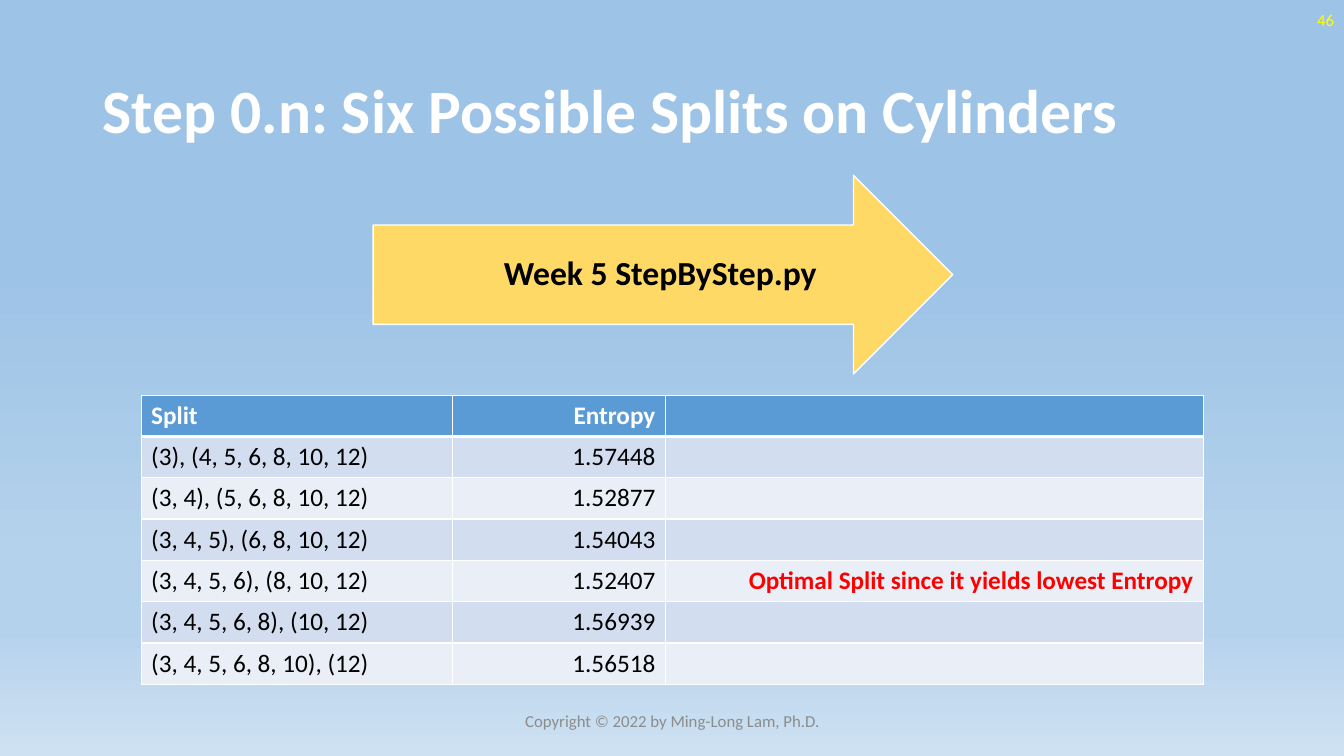
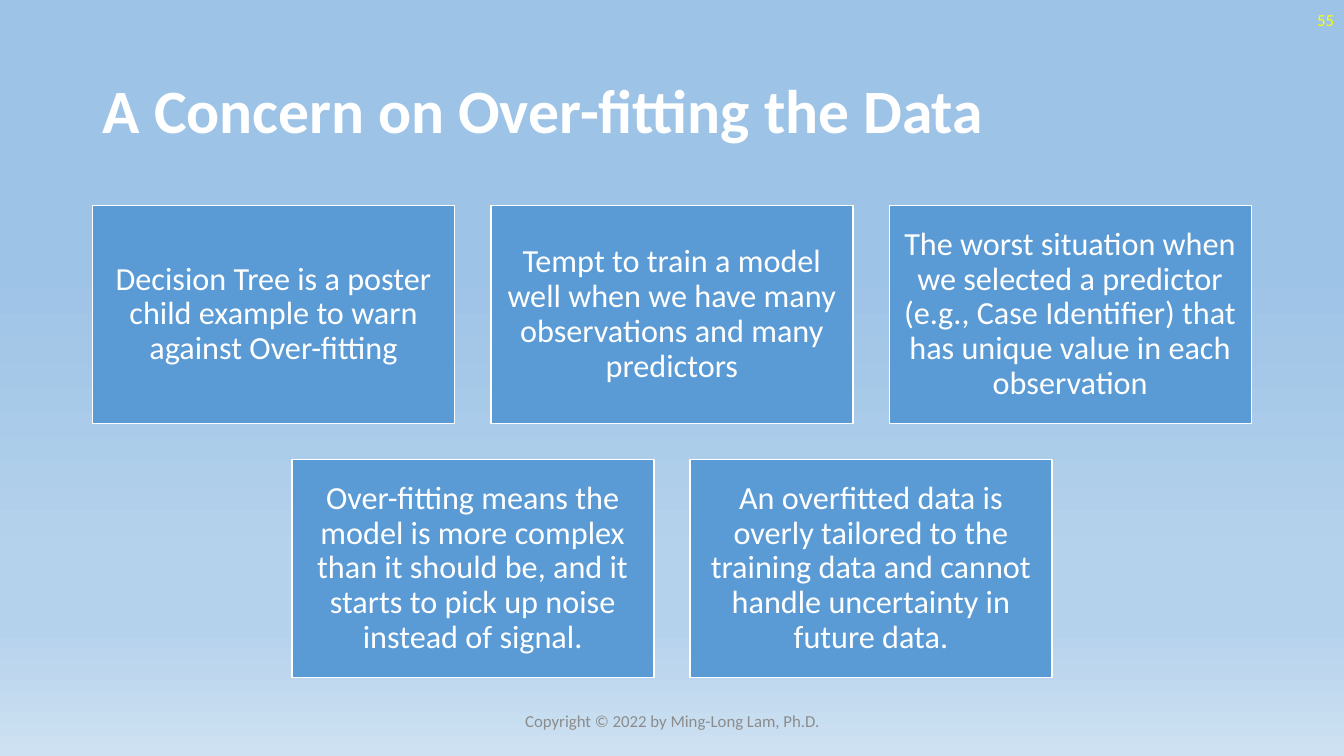
from dataclasses import dataclass

from lxml import etree
from pptx import Presentation
from pptx.dml.color import RGBColor
from pptx.enum.shapes import MSO_SHAPE as Shape
from pptx.enum.text import MSO_ANCHOR as Anchor, PP_ALIGN as Align
from pptx.oxml.ns import qn
from pptx.util import Inches, Pt


@dataclass(frozen=True)
class Theme:
    font: str = "Calibri"
    white: str = "FFFFFF"
    black: str = "000000"
    blue: str = "5B9BD5"
    bands: tuple = ("D2DEEF", "EAEFF7")
    gold: str = "FFD966"
    red: str = "FF0000"
    yellow: str = "FFFF00"
    grey: str = "8C8C8C"
    background: tuple = ((35, "9DC3E6"), (74, "B5D2EC"), (83, "B5D2EC"), (100, "CEE1F2"))
    title_size: int = 44
    arrow_size: int = 24
    card_size: int = 23
    table_size: int = 18
    small_size: int = 12


THEME = Theme()

# Content
COPYRIGHT = "Copyright © 2022 by Ming-Long Lam, Ph.D."
SPLITS_TITLE, SPLITS_NUMBER = "Step 0.n: Six Possible Splits on Cylinders", 46
ARROW_TEXT = "Week 5 StepByStep.py"
SPLITS = [
    ("Split", "Entropy", ""),
    ("(3), (4, 5, 6, 8, 10, 12)", "1.57448", ""),
    ("(3, 4), (5, 6, 8, 10, 12)", "1.52877", ""),
    ("(3, 4, 5), (6, 8, 10, 12)", "1.54043", ""),
    ("(3, 4, 5, 6), (8, 10, 12)", "1.52407", "Optimal Split since it yields lowest Entropy"),
    ("(3, 4, 5, 6, 8), (10, 12)", "1.56939", ""),
    ("(3, 4, 5, 6, 8, 10), (12)", "1.56518", ""),
]
CONCERN_TITLE, CONCERN_NUMBER = "A Concern on Over-fitting the Data", 55
CONCERN_ROWS = [
    [
        "Decision Tree is a poster child example to warn against Over-fitting",
        "Tempt to train a model well when we have many observations and many predictors",
        "The worst situation when we selected a predictor (e.g., Case Identifier) "
        "that has unique value in each observation",
    ],
    [
        "Over-fitting means the model is more complex than it should be, "
        "and it starts to pick up noise instead of signal.",
        "An overfitted data is overly tailored to the training data "
        "and cannot handle uncertainty in future data.",
    ],
]

# Layout, in inches
SLIDE_WIDTH, SLIDE_HEIGHT = 13.33, 7.5
TITLE_BOX = (0.92, 0.4, 11.5, 1.45)
FOOTER_BOX = (4.42, 6.95, 4.5, 0.4)
NUMBER_BOX = (10.33, 0, 3, 0.4)
ARROW_BOX = (3.7, 1.74, 5.75, 1.97)
TABLE_LEFT, TABLE_TOP, ROW_HEIGHT = 1.4, 3.92, 0.41
COLUMN_WIDTHS = (3.09, 2.11, 5.34)
CARD_WIDTH, CARD_HEIGHT, CARD_GAP, CARD_TOP = 3.59, 2.16, 0.36, 2.04


def rgb(value):
    return RGBColor.from_string(value)


def inches(box):
    return [Inches(value) for value in box]


def write(frame, text, size, color, bold=False, align=Align.LEFT, spacing=1.0):
    paragraph = frame.paragraphs[0]
    paragraph.alignment, paragraph.line_spacing = align, spacing
    run = paragraph.add_run()
    run.text = text
    for name, value in {"name": THEME.font, "size": Pt(size), "bold": bold}.items():
        setattr(run.font, name, value)
    run.font.color.rgb = rgb(color)


def set_frame(frame, margins=(0.1, 0.05, 0.1, 0.05)):
    frame.word_wrap, frame.vertical_anchor = True, Anchor.MIDDLE
    for side, value in zip(("left", "top", "right", "bottom"), margins):
        setattr(frame, f"margin_{side}", Inches(value))


def add_small_text(slide, box, text, color, align):
    frame = slide.shapes.add_textbox(*inches(box)).text_frame
    set_frame(frame)
    write(frame, text, THEME.small_size, color, align=align)


def add_panel(slide, kind, box, fill, margins, text, **style):
    shape = slide.shapes.add_shape(kind, *inches(box))
    shape.shadow.inherit = False
    shape.fill.solid()
    shape.fill.fore_color.rgb = rgb(fill)
    shape.line.color.rgb = rgb(THEME.white)
    shape.line.width = Pt(1)
    set_frame(shape.text_frame, margins)
    write(shape.text_frame, text, align=Align.CENTER, spacing=0.9, **style)


def set_background(master):
    fill = master.background.fill
    fill.gradient()
    fill.gradient_angle = 270  # counter-clockwise, so top to bottom
    stops = master.element.find(".//" + qn("a:gsLst"))
    for stop in list(stops):
        stops.remove(stop)
    for percent, color in THEME.background:
        stop = etree.SubElement(stops, qn("a:gs"), pos=str(percent * 1000))
        etree.SubElement(stop, qn("a:srgbClr"), val=color)


def add_slide(presentation, title, number):
    slide = presentation.slides.add_slide(presentation.slide_layouts[5])
    shape = slide.shapes.title
    shape.left, shape.top, shape.width, shape.height = inches(TITLE_BOX)
    set_frame(shape.text_frame)
    write(shape.text_frame, title, THEME.title_size, THEME.white, bold=True, spacing=0.9)
    add_small_text(slide, FOOTER_BOX, COPYRIGHT, THEME.grey, Align.CENTER)
    add_small_text(slide, NUMBER_BOX, str(number), THEME.yellow, Align.RIGHT)
    return slide


def set_borders(cell, top, bottom):
    properties = cell._tc.get_or_add_tcPr()
    widths = {"lnL": 1, "lnR": 1, "lnT": top, "lnB": bottom}
    for position, (tag, width) in enumerate(widths.items()):
        line = etree.Element(qn(f"a:{tag}"), w=str(Pt(width)))
        solid = etree.SubElement(line, qn("a:solidFill"))
        etree.SubElement(solid, qn("a:srgbClr"), val=THEME.white)
        properties.insert(position, line)


def add_split_table(slide):
    box = (TABLE_LEFT, TABLE_TOP, sum(COLUMN_WIDTHS), ROW_HEIGHT * len(SPLITS))
    table = slide.shapes.add_table(len(SPLITS), len(COLUMN_WIDTHS), *inches(box)).table
    for column, width in zip(table.columns, COLUMN_WIDTHS):
        column.width = Inches(width)
    for row, values in enumerate(SPLITS):
        table.rows[row].height = Inches(ROW_HEIGHT)
        header = row == 0
        for column, text in enumerate(values):
            cell = table.cell(row, column)
            cell.fill.solid()
            cell.fill.fore_color.rgb = rgb(THEME.blue if header else THEME.bands[(row - 1) % 2])
            set_borders(cell, top=3 if row == 1 else 1, bottom=3 if header else 1)
            if text:
                note = column == 2
                color = THEME.white if header else THEME.red if note else THEME.black
                write(cell.text_frame, text, THEME.table_size, color, bold=header or note,
                      align=Align.RIGHT if column else Align.LEFT)


def add_cards(slide):
    for row, texts in enumerate(CONCERN_ROWS):
        row_width = len(texts) * (CARD_WIDTH + CARD_GAP) - CARD_GAP
        left = (SLIDE_WIDTH - row_width) / 2
        top = CARD_TOP + row * (CARD_HEIGHT + CARD_GAP)
        for column, text in enumerate(texts):
            box = (left + column * (CARD_WIDTH + CARD_GAP), top, CARD_WIDTH, CARD_HEIGHT)
            add_panel(slide, Shape.RECTANGLE, box, THEME.blue, (0.1,) * 4, text,
                      size=THEME.card_size, color=THEME.white)


def main():
    presentation = Presentation()
    presentation.slide_width = Inches(SLIDE_WIDTH)
    presentation.slide_height = Inches(SLIDE_HEIGHT)
    set_background(presentation.slide_master)

    # Splits and their entropy
    slide = add_slide(presentation, SPLITS_TITLE, SPLITS_NUMBER)
    add_panel(slide, Shape.RIGHT_ARROW, ARROW_BOX, THEME.gold, (0.46, 0, 0.02, 0), ARROW_TEXT,
              size=THEME.arrow_size, color=THEME.black, bold=True)
    add_split_table(slide)

    # Over-fitting cards
    add_cards(add_slide(presentation, CONCERN_TITLE, CONCERN_NUMBER))

    presentation.save("out.pptx")


if __name__ == "__main__":
    main()
